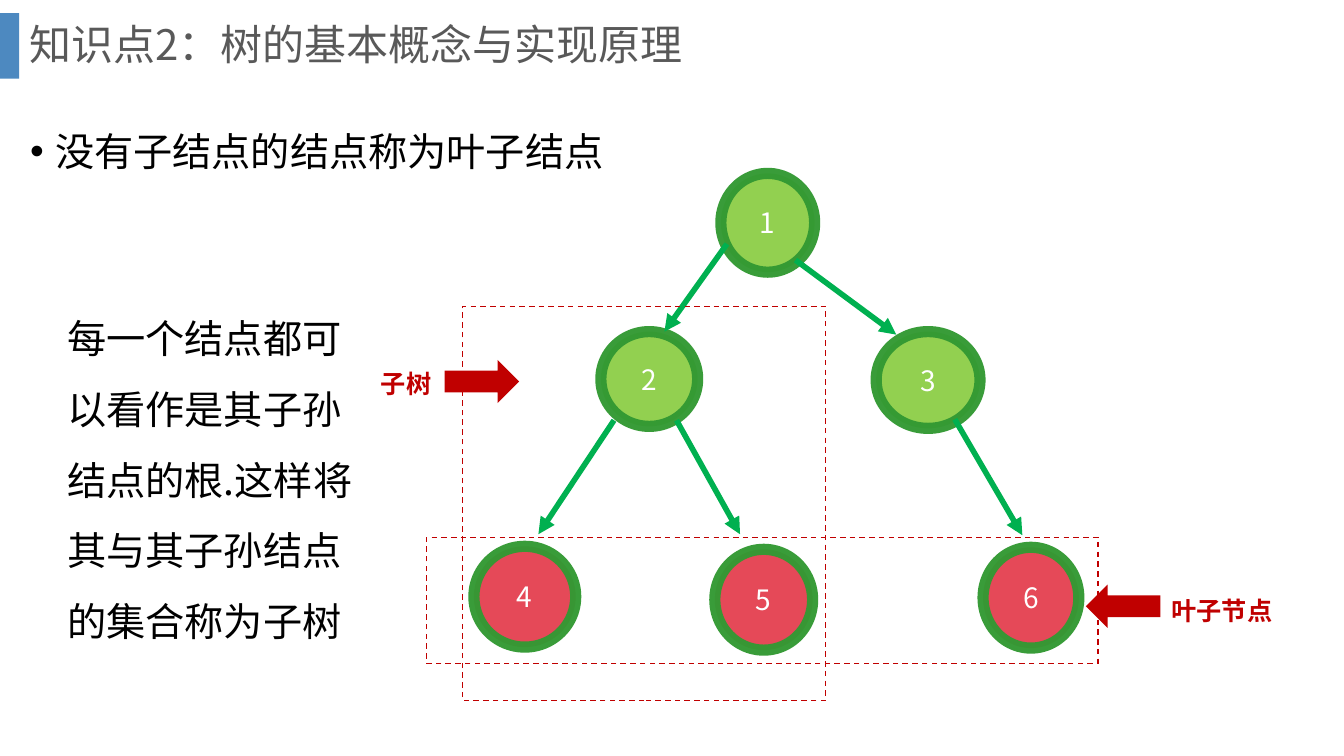
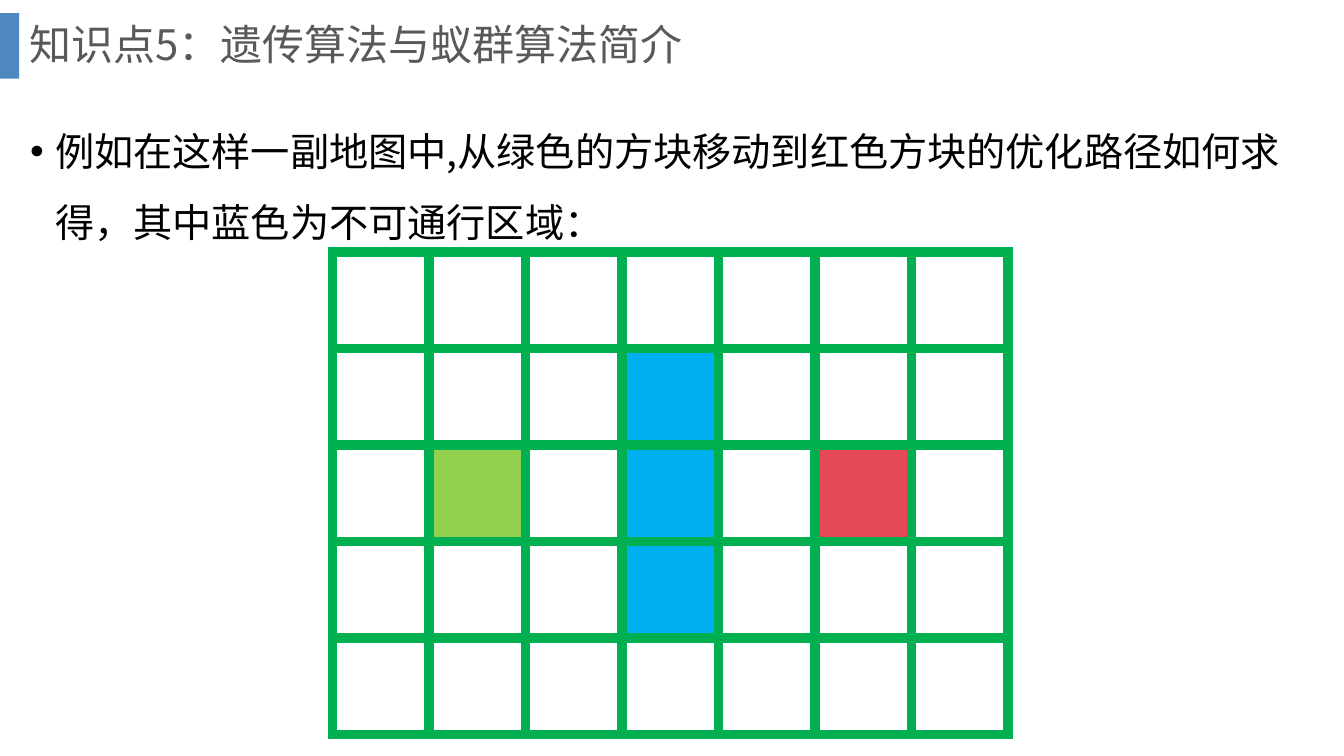
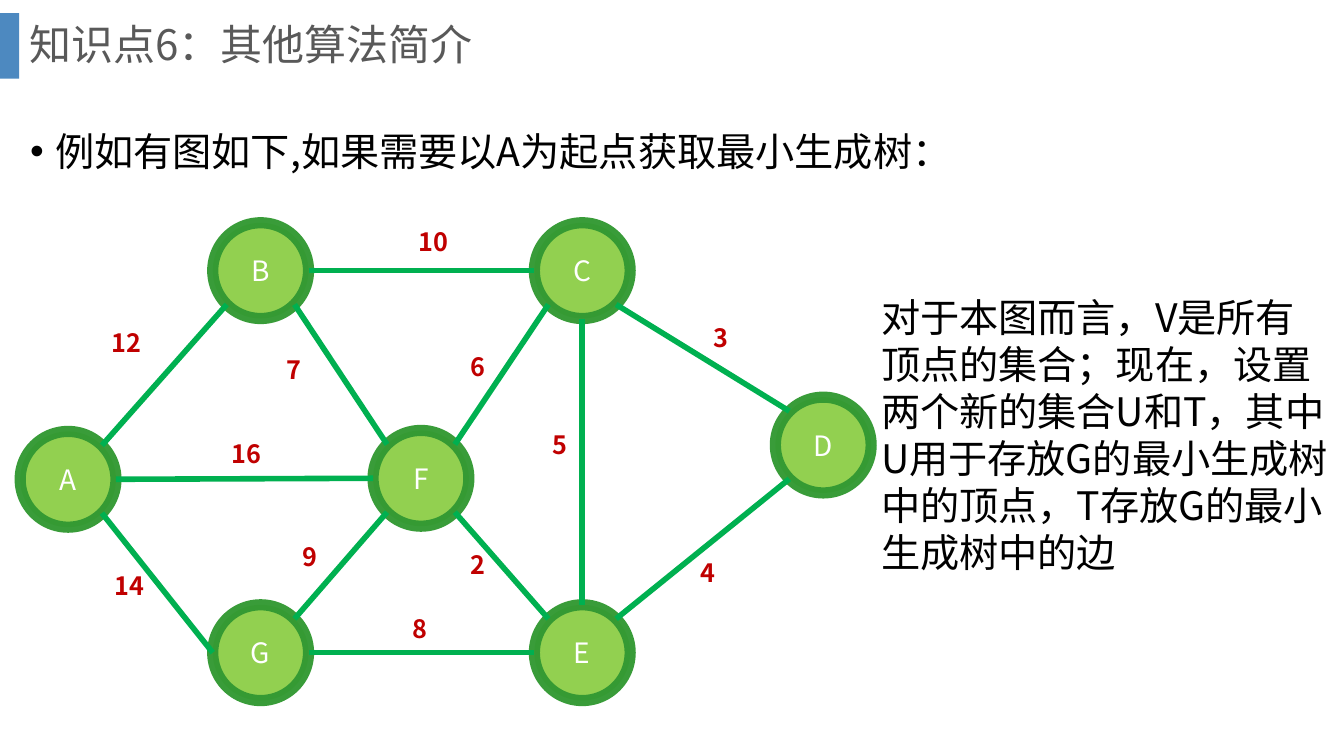
from math import cos, radians, sin

from lxml import etree
from pptx import Presentation, util as u
from pptx.dml.color import RGBColor
from pptx.enum import dml, shapes, text
from pptx.oxml import ns

# Theme: colours, type styles and line styles
FONT = "Noto Sans CJK SC"
WHITE, LEAF, RED, BLUE = "FFFFFF", "92D050", "E54958", "00B0F0"
GREEN, DARK, MARK = "00B050", "339933", "C00000"
TYPE = {
    "title": {"size": 30, "color": "595959", "para": {"line_spacing": 0.9}},
    "body": {"size": 28, "color": "000000", "para": {"line_spacing": 1.5}},
    "note": {"size": 28, "color": "000000", "para": {}},
    "node": {"size": 20, "color": WHITE,
             "para": {"alignment": text.PP_ALIGN.CENTER}},
    "tag": {"size": 18, "color": MARK, "bold": True, "para": {}},
}
LINE = {
    "node": {"color": DARK, "width": 8, "alpha": 96},
    "edge": {"color": GREEN, "width": 4},
    "cell": {"color": GREEN, "width": 6.75},
    "frame": {"color": MARK, "width": 1, "dash": dml.MSO_LINE.DASH},
}
WIDE, HIGH = 13.33, 7.5
KIND = shapes.MSO_SHAPE
TOP, MID = text.MSO_ANCHOR.TOP, text.MSO_ANCHOR.MIDDLE

# Slide 1: a tree
TREE = {
    "title": "知识点2：树的基本概念与实现原理",
    "lead": "没有子结点的结点称为叶子结点",
    "nodes": [
        ("1", LEAF, (7.15, 1.72, 0.93, 0.98)),
        ("2", LEAF, (5.96, 3.29, 0.96, 0.94)),
        ("3", LEAF, (8.69, 3.29, 1.03, 0.96)),
        ("4", RED, (4.7, 5.42, 1.01, 1)),
        ("5", RED, (7.09, 5.45, 0.97, 1)),
        ("6", RED, (9.75, 5.43, 0.95, 1)),
    ],
    "arrows": [
        ((7.21, 2.42), (6.59, 3.29)),
        ((7.89, 2.58), (8.89, 3.32)),
        ((6.09, 4.17), (5.34, 5.3)),
        ((6.71, 4.17), (7.34, 5.3)),
        ((9.47, 4.16), (10.14, 5.31)),
    ],
    "frames": [(4.23, 5.33, 6.66, 1.25), (4.59, 3.04, 3.6, 3.91)],
    # label, its box, pointer box, pointer turn
    "marks": [
        ("叶子节点", (11.52, 5.86, 1.21, 0.4), (10.77, 5.8, 0.74, 0.43), 180),
        ("子树", (3.68, 3.6, 0.71, 0.4), (4.41, 3.57, 0.74, 0.43), 0),
    ],
    "note": "每一个结点都可以看作是其子孙结点的根.这样将其与其子孙结点的集合称为子树",
}

# Slide 2: a map, one letter a cell
MAP = {
    "title": "知识点5：遗传算法与蚁群算法简介",
    "lead": "例如在这样一副地图中,从绿色的方块移动到红色方块的优化路径如何求得，"
            "其中蓝色为不可通行区域：",
    "rows": [".......", "...B...", ".G.B.R.", "...B...", "......."],
    "key": {".": WHITE, "B": BLUE, "G": LEAF, "R": RED},
    "left": 3.3, "top": 2.5, "width": 6.7,
}

# Slide 3: a weighted graph
GRAPH = {
    "title": "知识点6：其他算法简介",
    "lead": "例如有图如下,如果需要以A为起点获取最小生成树：",
    "size": 0.95,
    "nodes": {"B": (2.11, 2.21), "A": (0.2, 4.28), "C": (5.3, 2.21),
              "G": (2.11, 6), "E": (5.3, 6), "F": (3.7, 4.27),
              "D": (7.69, 3.94)},
    # start and side, end and side, weight, place of the weight
    "edges": [
        ("A", "NE", "B", "SW", "12", (1.01, 3.2)),
        ("A", "SE", "G", "W", "14", (1.04, 5.61)),
        ("A", "E", "F", "W", "16", (2.2, 4.3)),
        ("G", "E", "E", "W", "8", (3.99, 6.04)),
        ("B", "SE", "F", "NW", "7", (2.74, 3.47)),
        ("B", "E", "C", "W", "10", (4.05, 2.2)),
        ("G", "NE", "F", "SW", "9", (2.9, 5.32)),
        ("F", "SE", "E", "NW", "2", (4.57, 5.4)),
        ("C", "S", "E", "N", "5", (5.38, 4.21)),
        ("F", "NE", "C", "SW", "6", (4.57, 3.44)),
        ("C", "SE", "D", "NW", "3", (6.98, 3.15)),
        ("E", "NE", "D", "SW", "4", (6.85, 5.48)),
    ],
    "note": "对于本图而言，V是所有顶点的集合；现在，设置两个新的集合U和T，"
            "其中U用于存放G的最小生成树中的顶点，T存放G的最小生成树中的边",
}
SIDES = ["E", "SE", "S", "SW", "W", "NW", "N", "NE"]


def add(root, tag, **vals):
    """Append an XML child in the drawing namespace."""
    kid = etree.SubElement(root, ns.qn("a:" + tag))
    for key, val in vals.items():
        kid.set(key, str(val))
    return kid


def fade(root, share):
    add(next(root.iter(ns.qn("a:srgbClr"))), "alpha", val=share * 1000)


def ink(line, form):
    line.color.rgb = RGBColor.from_string(form["color"])
    line.width = u.Pt(form["width"])
    if "dash" in form:
        line.dash_style = form["dash"]
    if "alpha" in form:
        fade(line._ln, form["alpha"])
    add(line._ln, "miter", lim=800000)


def write(shape, words, style, anchor=TOP, wrap=True, bullet=False):
    form, frame = TYPE[style], shape.text_frame
    frame.word_wrap, frame.vertical_anchor = wrap, anchor
    para = frame.paragraphs[0]
    if bullet:
        props = para._p.get_or_add_pPr()
        props.set("marL", str(u.Inches(0.25)))
        props.set("indent", str(-u.Inches(0.25)))
        add(props, "buFont", typeface="Arial")
        add(props, "buChar", char="•")
    for key, val in form["para"].items():
        setattr(para, key, val)
    run = para.add_run()
    run.text = words
    font = {"size": u.Pt(form["size"]), "bold": form.get("bold", False),
            "name": FONT}
    for key, val in font.items():
        setattr(run.font, key, val)
    run.font.color.rgb = RGBColor.from_string(form["color"])
    add(run._r.get_or_add_rPr(), "ea", typeface=FONT)


def label(page, box, words, style, **opts):
    shape = page.shapes.add_textbox(*map(u.Inches, box))
    write(shape, words, style, **opts)


def block(page, kind, box, fill=None, line=None):
    shape = page.shapes.add_shape(kind, *map(u.Inches, box))
    shape.shadow.inherit = False
    if fill:
        shape.fill.solid()
        shape.fill.fore_color.rgb = RGBColor.from_string(fill)
    else:
        shape.fill.background()
    if line:
        ink(shape.line, LINE[line])
    else:
        shape.line.fill.background()
    return shape


def node(page, words, fill, box):
    write(block(page, KIND.OVAL, box, fill, "node"), words, "node", MID)


def edge(page, start, end, arrow=False):
    link = page.shapes.add_connector(
        shapes.MSO_CONNECTOR.STRAIGHT, *map(u.Inches, start + end))
    ink(link.line, LINE["edge"])
    if arrow:
        add(link.line._ln, "tailEnd", type="triangle")
    add(link._element.spPr, "effectLst")


def start(deck, data):
    """New page with the shared band, title and lead line."""
    page = deck.slides.add_slide(deck.slide_layouts[6])
    band = block(page, KIND.RECTANGLE, (0, 0.13, 0.19, 0.65), "2E75B6")
    fade(band._element.spPr, 85)
    label(page, (0.19, 0, 12.66, 0.93), data["title"], "title", anchor=MID)
    label(page, (0.2, 0.98, 12.9, 5.96), data["lead"], "body", bullet=True)
    return page


def tree(deck, data):
    page = start(deck, data)
    for item in data["nodes"]:
        node(page, *item)
    for ends in data["arrows"]:
        edge(page, *ends, arrow=True)
    for box in data["frames"]:
        block(page, KIND.RECTANGLE, box, line="frame")
    for words, box, spot, turn in data["marks"]:
        label(page, box, words, "tag", wrap=False)
        block(page, KIND.RIGHT_ARROW, spot, MARK).rotation = turn
    label(page, (0.57, 2.84, 3.23, 3.64), data["note"], "body")


def grid(deck, data):
    page = start(deck, data)
    step = data["width"] / len(data["rows"][0])
    for y, row in enumerate(data["rows"]):
        for x, sign in enumerate(row):
            box = (data["left"] + x * step, data["top"] + y * step, step, step)
            block(page, KIND.RECTANGLE, box, data["key"][sign], "cell")


def graph(deck, data):
    page, size = start(deck, data), data["size"]

    def rim(name, side):
        turn = radians(45 * SIDES.index(side))
        left, top = data["nodes"][name]
        return (left + size / 2 * (1 + cos(turn)),
                top + size / 2 * (1 + sin(turn)))

    for name, spot in data["nodes"].items():
        node(page, name, LEAF, spot + (size, size))
    for one, out, two, into, cost, spot in data["edges"]:
        edge(page, rim(one, out), rim(two, into))
        label(page, spot + (0.51, 0.4), cost, "tag")
    label(page, (8.64, 2.86, WIDE - 8.64, 2.93), data["note"], "note")


def main():
    deck = Presentation()
    deck.slide_width, deck.slide_height = u.Inches(WIDE), u.Inches(HIGH)
    tree(deck, TREE)
    grid(deck, MAP)
    graph(deck, GRAPH)
    deck.save("out.pptx")


if __name__ == "__main__":
    main()
